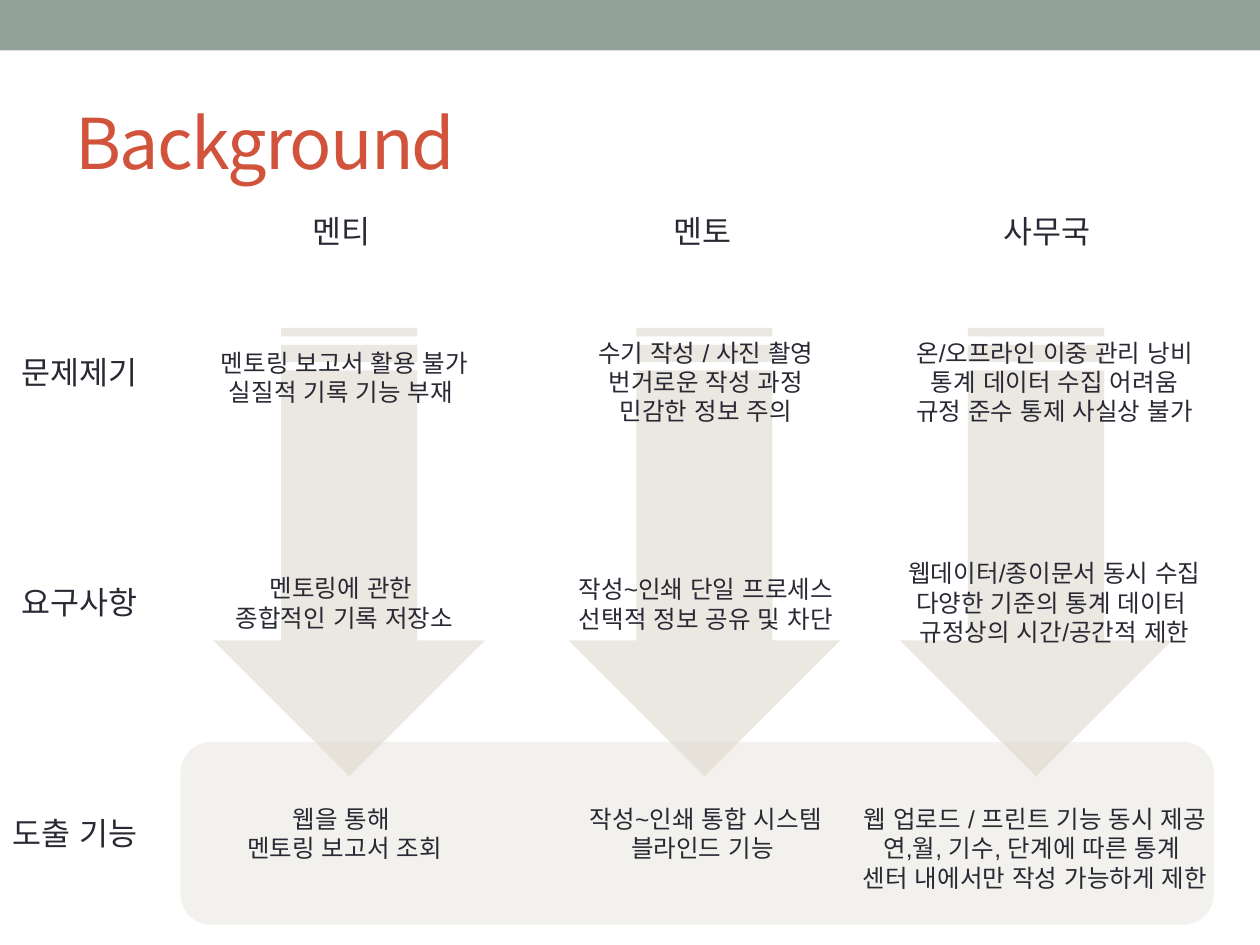
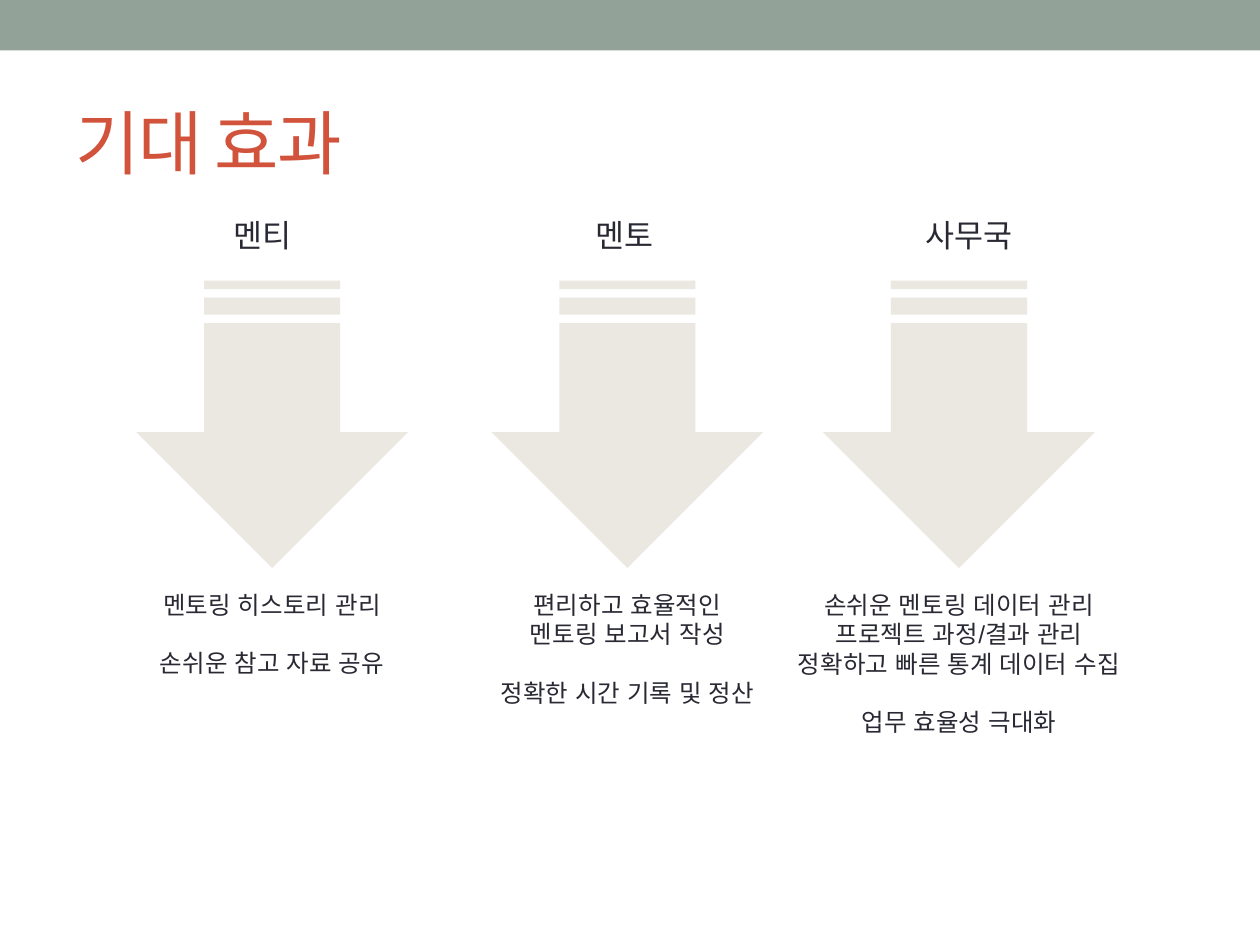
from lxml import etree
from pptx import Presentation
from pptx import util as u
from pptx.dml.color import RGBColor
from pptx.enum import shapes, text
from pptx.oxml.ns import qn

Pt = u.Pt
HUES = {"band": "93A299", "title": "D2533C", "ink": "292934", "sand": "DDD7CD"}
LEFT, MID = text.PP_ALIGN.LEFT, text.PP_ALIGN.CENTER
BOX = {"word_wrap": False, "auto_size": text.MSO_AUTO_SIZE.SHAPE_TO_FIT_TEXT}
HEAD = {"size": Pt(40), "name": "Noto Sans CJK KR", "bold": False}
LABEL = {"size": Pt(18), "name": "Arial"}
NOTE = {"size": Pt(14), "name": "Arial"}
LEAD = 1.2
AXES = (199.5, 402.5, 592)
HEADS = (("멘티", 171.4, 51), ("멘토", 378, 51), ("사무국", 566.6, 72))

ROWS = ("문제제기", 87), ("요구사항", 87), ("도출 기능", 92)
CELLS = (
    (196.9, 195.1, 168, "멘토링 보고서 활용 불가\n실질적 기록 기능 부재 "),
    (403.4, 189.4, 147, "수기 작성 / 사진 촬영\n번거로운 작성 과정\n민감한 정보 주의"),
    (602.6, 189.4, 186, "온/오프라인 이중 관리 낭비\n통계 데이터 수집 어려움\n규정 준수 통제 사실상 불가"),
    (196.9, 324, 150, "멘토링에 관한 \n종합적인 기록 저장소"),
    (403.4, 324.7, 172, "작성~인쇄 단일 프로세스\n선택적 정보 공유 및 차단"),
    (602.6, 315.4, 200, "웹데이터/종이문서 동시 수집\n다양한 기준의 통계 데이터 \n규정상의 시간/공간적 제한"),
    (196.9, 455.8, 135, "웹을 통해 \n멘토링 보고서 조회"),
    (403.4, 455.8, 158, "작성~인쇄 통합 시스템\n블라인드 기능 "),
    (591.5, 455.8, 228, "웹 업로드 / 프린트 기능 동시 제공\n연,월, 기수, 단계에 따른 통계 \n센터 내에서만 작성 가능하게 제한"),
)
GAINS = (
    (153, "멘토링 히스토리 관리\n\n손쉬운 참고 자료 공유"),
    (171, "편리하고 효율적인\n멘토링 보고서 작성\n\n정확한 시간 기록 및 정산"),
    (214, "손쉬운 멘토링 데이터 관리\n프로젝트 과정/결과 관리\n정확하고 빠른 통계 데이터 수집\n\n업무 효율성 극대화"),
)


def apply(item, form):
    for key, val in form.items():
        setattr(item, key, val)


def style(run, form, hue):
    apply(run.font, form)
    run.font.color.rgb = RGBColor.from_string(HUES[hue])
    east = etree.SubElement(run.font._element, qn("a:ea"))
    east.set("typeface", form["name"])


def block(slide, kind, x, y, w, h, hue, alpha=100):
    shape = slide.shapes.add_shape(kind, Pt(x), Pt(y), Pt(w), Pt(h))
    shape.shadow.inherit = False
    shape.fill.solid()
    shape.fill.fore_color.rgb = RGBColor.from_string(HUES[hue])
    shape.line.fill.background()
    if alpha < 100:
        tint = shape.element.spPr.find(".//" + qn("a:srgbClr"))
        etree.SubElement(tint, qn("a:alpha")).set("val", str(alpha * 1000))
    return shape


def arrow(slide, x, y, size):
    kind = shapes.MSO_SHAPE.STRIPED_RIGHT_ARROW
    wide = 155.5
    shape = block(slide, kind, x - size / 2, y - wide / 2, size, wide, "sand", 56)
    shape.rotation = 90


def words(slide, x, y, w, copy, form, align=LEFT):
    lead = form["size"].pt * LEAD
    high = lead * (copy.count("\n") + 1) + 7.2
    box = slide.shapes.add_textbox(Pt(x), Pt(y), Pt(w), Pt(high))
    frame = box.text_frame
    apply(frame, BOX)
    gap = False
    first = True
    for line in copy.split("\n"):
        if not line:
            gap = True
            continue
        para = frame.paragraphs[0] if first else frame.add_paragraph()
        apply(para, {"alignment": align, "line_spacing": Pt(lead),
                     "space_before": Pt(lead if gap else 0)})
        run = para.add_run()
        run.text = line
        style(run, form, "ink")
        first = gap = False


def note(slide, mid, y, w, copy):
    words(slide, mid - w / 2, y, w, copy, NOTE, MID)


def title(slide, copy):
    head = slide.shapes.title
    apply(head, {"left": Pt(36), "top": Pt(42), "width": Pt(648), "height": Pt(77.5)})
    frame = head.text_frame
    apply(frame, {"word_wrap": True, "auto_size": text.MSO_AUTO_SIZE.NONE,
                  "vertical_anchor": text.MSO_ANCHOR.MIDDLE})
    para = frame.paragraphs[0]
    para.alignment = LEFT
    run = para.add_run()
    run.text = copy
    style(run, HEAD, "title")
    run.font._element.set("spc", "-100")


def band(deck, slide):
    strip = block(slide, shapes.MSO_SHAPE.RECTANGLE, 0, 0, 720, 28.8, "band")
    strip.element.xpath(".//p:cNvPr")[0].set("id", "99")
    deck.slide_master.shapes.element.insert(2, strip.element)


def heads(slide, y, shift=0):
    for name, x, w in HEADS:
        words(slide, x + shift, y, w, name, LABEL)


def needs(slide):
    title(slide, "Background")
    for axis in AXES:
        arrow(slide, axis, 315.5, 256.3)
    panel = block(slide, shapes.MSO_SHAPE.ROUNDED_RECTANGLE,
                  103.2, 424, 590.4, 104.4, "sand", 34)
    panel.adjustments[0] = 0.1667
    heads(slide, 117.4)
    for row, (name, w) in enumerate(ROWS):
        words(slide, 92.2 - w, 198 + 131.8 * row, w, name, LABEL)
    for cell in CELLS:
        note(slide, *cell)


def gains(slide):
    title(slide, "기대 효과")
    shift = -44
    for axis, (w, copy) in zip(AXES, GAINS):
        arrow(slide, axis + shift, 242.5, 164.2)
        note(slide, axis + shift, 333.4, w, copy)
    heads(slide, 120.2, -44.8)


def main():
    deck = Presentation()
    apply(deck, {"slide_width": Pt(720), "slide_height": Pt(540)})
    plain = deck.slide_layouts[5]
    for spot, draw in enumerate((needs, gains)):
        slide = deck.slides.add_slide(plain)
        if spot == 0:
            band(deck, slide)
        draw(slide)
    deck.save("out.pptx")


if __name__ == "__main__":
    main()
